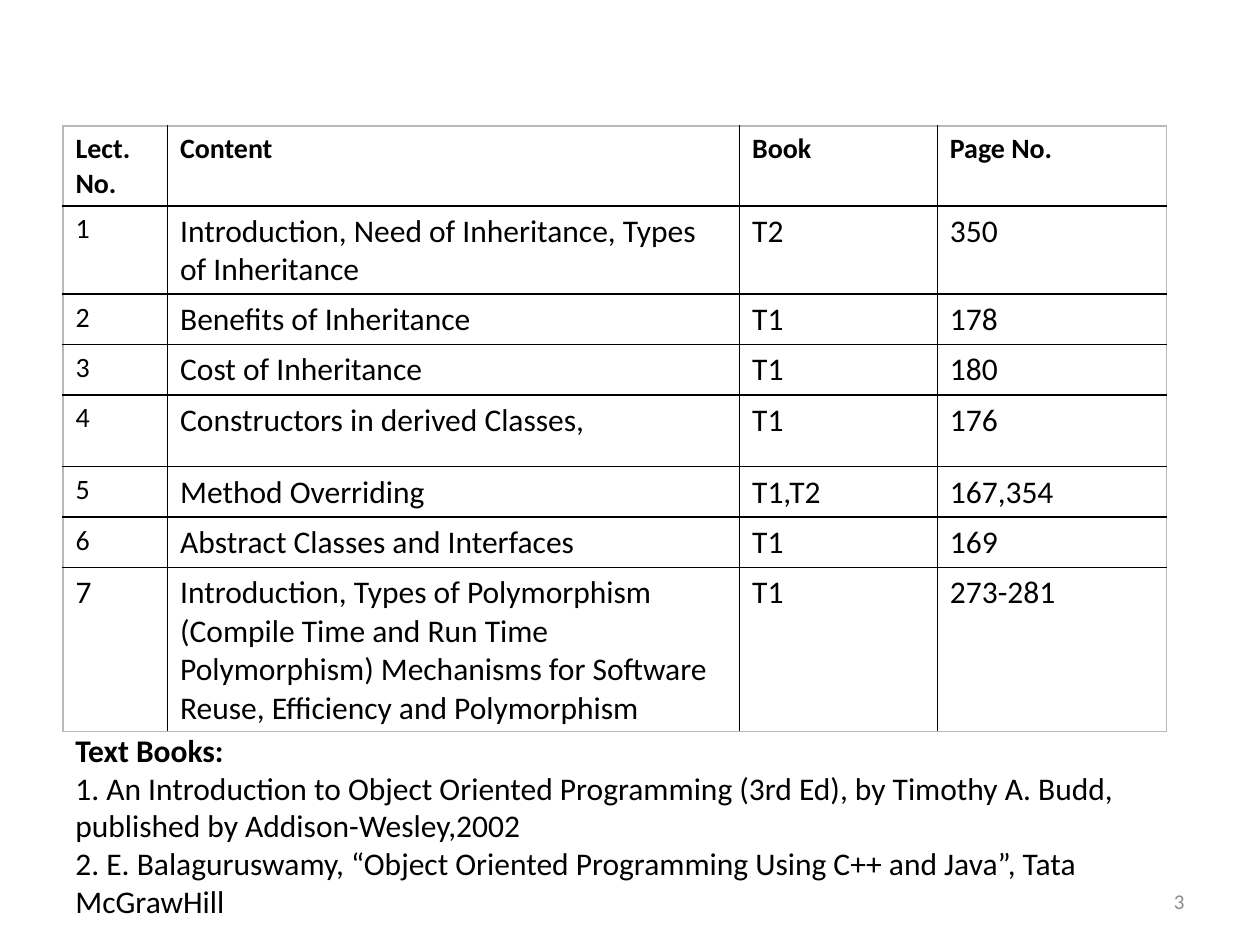
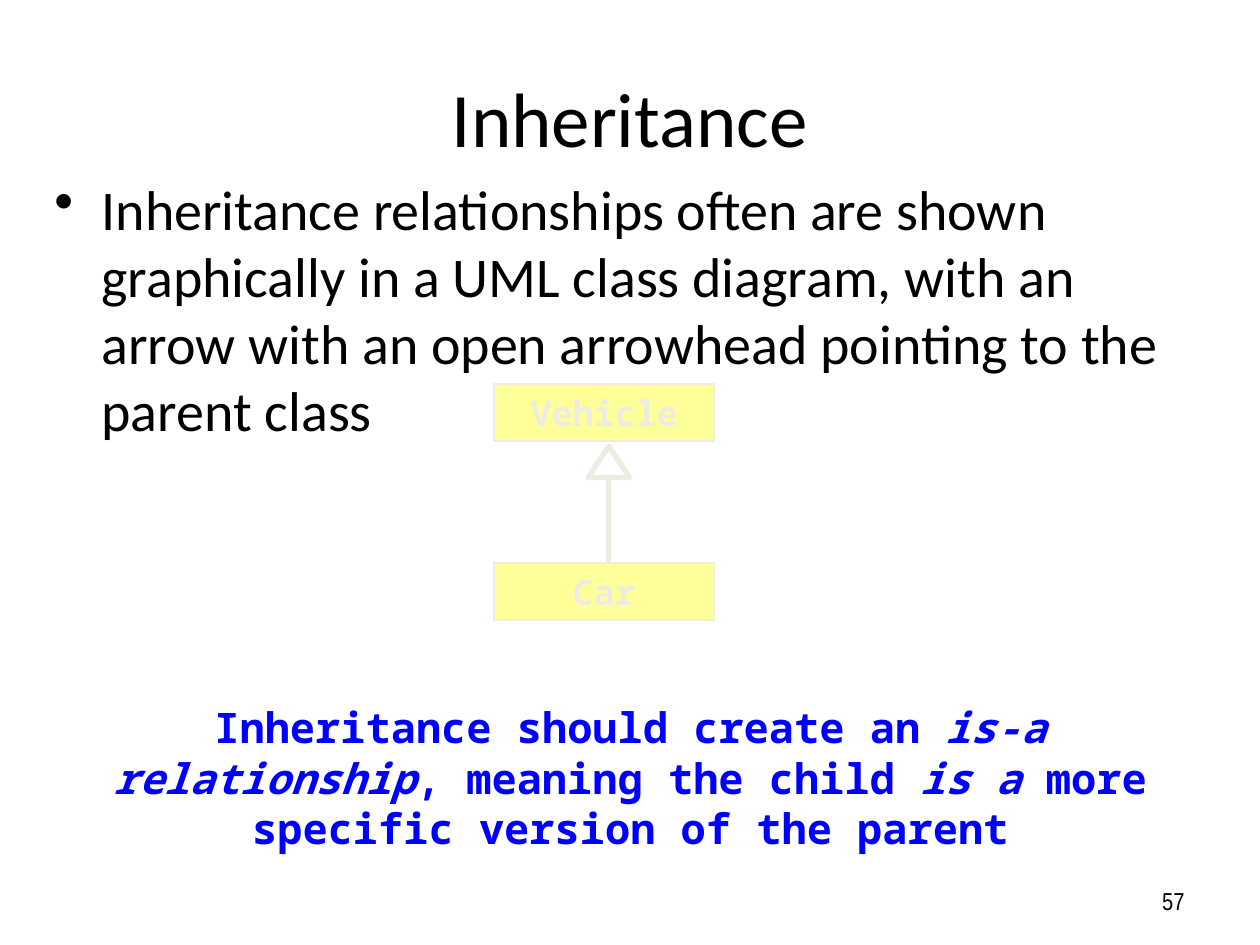
"""Build two course slides: a lecture plan and an inheritance diagram."""
from pptx import Presentation
from pptx.dml.color import RGBColor
from pptx.enum.shapes import MSO_CONNECTOR, MSO_SHAPE
from pptx.enum.text import MSO_ANCHOR, PP_ALIGN
from pptx.oxml.ns import qn
from pptx.util import Inches, Pt
from lxml import etree

LEFT, MID, RIGHT = PP_ALIGN.LEFT, PP_ALIGN.CENTER, PP_ALIGN.RIGHT
TOP, CENTER = MSO_ANCHOR.TOP, MSO_ANCHOR.MIDDLE
RECT, TRI = MSO_SHAPE.RECTANGLE, MSO_SHAPE.ISOSCELES_TRIANGLE
STRAIGHT = MSO_CONNECTOR.STRAIGHT
BODY, MONO, SMALL = "Calibri", "Noto Sans Mono", "Arial Narrow"
BLACK, GREY, EDGE, BLUE = "000000", "8C8C8C", "B8B8B8", "0000FF"
CREAM, YELLOW = "EEECE1", "FFFF99"

WIDTHS = [3.32, 18.16, 6.28, 7.28]
HEIGHTS = [2.44, 2.68, 1.6, 1.52, 2.28, 1.6, 1.52, 4.96]
PLAN = [
    ["Lect. No.", "Content", "Book", "Page No."],
    ["1", "Introduction, Need of Inheritance, Types of Inheritance", "T2", "350"],
    ["2", "Benefits of Inheritance", "T1", "178"],
    ["3", "Cost of Inheritance", "T1", "180"],
    ["4", "Constructors in derived Classes,", "T1", "176"],
    ["5", "Method Overriding", "T1,T2", "167,354"],
    ["6", "Abstract Classes and Interfaces", "T1", "169"],
    ["7", "Introduction, Types of Polymorphism (Compile Time and Run Time "
     "Polymorphism) Mechanisms for Software Reuse, Efficiency and Polymorphism",
     "T1", "273-281"],
]
BOOKS = [
    "Text Books:",
    "1. An Introduction to Object Oriented Programming (3rd Ed), by Timothy A. "
    "Budd, published by Addison-Wesley,2002",
    "2. E. Balaguruswamy, “Object Oriented Programming Using C++ and Java”, "
    "Tata McGrawHill",
]
POINT = ("Inheritance relationships often are shown graphically in a UML class "
         "diagram, with an arrow with an open arrowhead pointing to the parent class")
CLAIM = ["Inheritance should create an ", "is-a relationship",
         ", meaning the child ", "is a", " more specific version of the parent"]


def tint(code):
    """Turn a hex string into a colour."""
    return RGBColor.from_string(code)


def unit(count):
    """Turn steps of the 40 by 30 slide grid into a length."""
    return Inches(count / 4)


class Deck:
    """Hold the style and the current slide."""

    def __init__(self):
        """Open an empty deck of 40 columns and 30 rows."""
        self.file = Presentation()
        self.file.slide_width, self.file.slide_height = unit(40), unit(30)
        self.shapes = None

    def page(self, number, font=BODY, size=12, color=GREY):
        """Start a slide and set its number in the corner."""
        blank = self.file.slide_layouts[6]
        self.shapes = self.file.slides.add_slide(blank).shapes
        self.text((28.67, 27.8, 9.33, 1.6), [number], size, font, color,
                  align=RIGHT, anchor=CENTER)

    def style(self, para, size, font=BODY, color=BLACK, bold=False, align=LEFT):
        """Set the font and alignment of a paragraph."""
        para.alignment = align
        face = para.font
        face.name, face.size, face.bold = font, Pt(size), bold
        face.color.rgb = tint(color)

    def text(self, area, lines, size, font=BODY, color=BLACK, bold=False,
             align=LEFT, anchor=TOP):
        """Add a wrapped text box and return its paragraphs."""
        frame = self.shapes.add_textbox(*map(unit, area)).text_frame
        frame.word_wrap, frame.vertical_anchor = True, anchor
        frame.text = "\n".join(lines)
        for para in frame.paragraphs:
            self.style(para, size, font, color, bold, align)
        return frame.paragraphs

    def title(self, words):
        """Add the slide title."""
        self.text((2, 1.2, 36, 5), [words], 44, align=MID, anchor=CENTER)

    def bullet(self, area, words):
        """Add a bulleted paragraph with a hanging indent."""
        para = self.text(area, [words], 32)[0]
        props = para._p.get_or_add_pPr()
        props.set("marL", str(unit(1.5)))
        props.set("indent", str(-unit(1.5)))
        mark = etree.Element(qn("a:buChar"), char="•")
        props.insert(0, mark)

    def claim(self, area, parts):
        """Add a centred statement whose every second part is italic."""
        para = self.text(area, [""], 24, MONO, BLUE, True, MID)[0]
        for spot, part in enumerate(parts):
            run = para.add_run()
            run.text = part
            run.font.italic = spot % 2 == 1

    def border(self, cell, side, color):
        """Draw one side of a table cell."""
        line = etree.SubElement(cell._tc.get_or_add_tcPr(), qn("a:" + side),
                                w=str(Pt(1)))
        fill = etree.SubElement(line, qn("a:solidFill"))
        etree.SubElement(fill, qn("a:srgbClr"), val=color)

    def table(self, left, top, rows, widths, heights):
        """Add a ruled table with a bold head and lighter outer edges."""
        last, end = len(rows) - 1, len(widths) - 1
        area = map(unit, (left, top, sum(widths), sum(heights)))
        grid = self.shapes.add_table(last + 1, end + 1, *area).table
        for col, width in zip(grid.columns, widths):
            col.width = unit(width)
        for r, row in enumerate(rows):
            grid.rows[r].height = unit(heights[r])
            for c, words in enumerate(row):
                cell = grid.cell(r, c)
                cell.text = words
                small = r == 0 or (c == 0 and r < last)
                self.style(cell.text_frame.paragraphs[0], 16 if small else 18,
                           bold=r == 0)
                outer = {"lnL": c == 0, "lnR": c == end,
                         "lnT": r == 0, "lnB": r == last}
                for side, edge in outer.items():
                    self.border(cell, side, EDGE if edge else BLACK)
                cell.fill.background()

    def shape(self, kind, area, weight, fill=None):
        """Add an outlined shape and return it."""
        item = self.shapes.add_shape(kind, *map(unit, area))
        item.shadow.inherit = False
        item.line.color.rgb, item.line.width = tint(CREAM), Pt(weight)
        if fill:
            item.fill.solid()
            item.fill.fore_color.rgb = tint(fill)
        else:
            item.fill.background()
        return item

    def node(self, area, name):
        """Add a class box."""
        frame = self.shape(RECT, area, 1, YELLOW).text_frame
        frame.text, frame.vertical_anchor = name, CENTER
        self.style(frame.paragraphs[0], 20, MONO, CREAM, True, MID)

    def line(self, *ends):
        """Add a straight line."""
        item = self.shapes.add_connector(STRAIGHT, *map(unit, ends))
        item.line.color.rgb, item.line.width = tint(CREAM), Pt(3)
        etree.SubElement(item._element.spPr, qn("a:effectLst"))


def main():
    """Build and save the deck."""
    deck = Deck()
    deck.page("3")
    deck.table(2, 4, PLAN, WIDTHS, HEIGHTS)
    books = deck.text((2, 23, 35.32, 5.8), BOOKS, 18)
    books[0].font.bold = True

    deck.page("57", SMALL, 14, BLACK)
    deck.title("Inheritance")
    deck.bullet((1.33, 5.33, 37.33, 21.44), POINT)
    deck.claim((2.67, 22.08, 34.67, 3.6), CLAIM)
    axis, wide, tall, head = 19.33, 7, 1.8, 14.16
    deck.line(axis, 17.84, axis, head + 1)
    deck.shape(TRI, (axis - 0.66, head, 1.32, 1), 3)
    for name, top in (("Vehicle", 12.2), ("Car", 17.88)):
        deck.node((15.68, top, wide, tall), name)
    deck.file.save("out.pptx")


if __name__ == "__main__":
    main()
